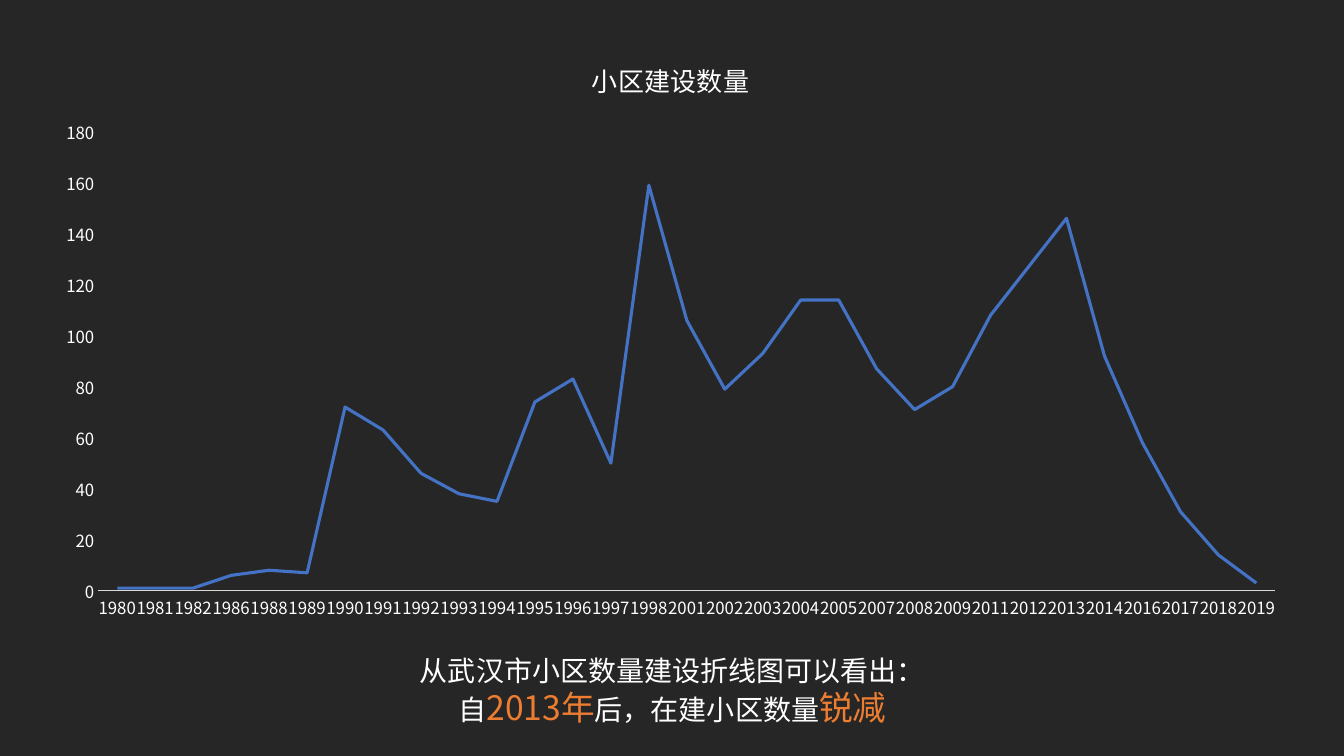
from lxml import etree
from pptx import Presentation
from pptx.chart.data import CategoryChartData
from pptx.dml.color import RGBColor
from pptx.enum.chart import XL_CHART_TYPE as ChartType, XL_TICK_MARK as Tick
from pptx.enum.text import MSO_ANCHOR as Anchor, PP_ALIGN as Align
from pptx.oxml import parse_xml
from pptx.oxml.ns import nsdecls, qn
from pptx.util import Inches, Pt

FONT = "Noto Sans CJK SC"
DARK = RGBColor(0x26, 0x26, 0x26)
WHITE = RGBColor(0xFF, 0xFF, 0xFF)
ORANGE = RGBColor(0xED, 0x7D, 0x31)
BLUE = RGBColor(0x44, 0x72, 0xC4)
GRAY = RGBColor(0xD9, 0xD9, 0xD9)

PROJECTS = {
    1980: 1, 1981: 1, 1982: 1, 1986: 6, 1988: 8, 1989: 7, 1990: 72, 1991: 63,
    1992: 46, 1993: 38, 1994: 35, 1995: 74, 1996: 83, 1997: 50, 1998: 159,
    2001: 106, 2002: 79, 2003: 93, 2004: 114, 2005: 114, 2007: 87, 2008: 71,
    2009: 80, 2011: 108, 2012: 127, 2013: 146, 2014: 92, 2016: 58, 2017: 31,
    2018: 14, 2019: 3,
}
CONCLUSION = [
    [("从武汉市小区数量建设折线图可以看出：", False)],
    [("自", False), ("2013年", True), ("后，在建小区数量", False), ("锐减", True)],
]


def style_font(font, size, color):
    """Set the font for both Latin and East Asian characters."""
    font.size = Pt(size)
    font.color.rgb = color
    font.name = FONT
    latin = font._element.find(qn("a:latin"))
    ea = etree.Element(qn("a:ea"), typeface=FONT)
    latin.addnext(ea)


def manual_layout(target=None, **fractions):
    """Return a c:layout that places a chart part by fractions of the chart."""
    layout = parse_xml(f"<c:layout {nsdecls('c')}><c:manualLayout/></c:layout>")
    values = {"xMode": "edge", "yMode": "edge", **fractions}
    if target:
        values = {"layoutTarget": target, **values}
    for tag, value in values.items():
        etree.SubElement(layout[0], qn(f"c:{tag}"), val=str(value))
    return layout


def place_title(chart):
    tf = chart.chart_title.text_frame
    r = tf.paragraphs[0].add_run()
    r.text = "小区建设数量"
    style_font(r.font, 18.6, WHITE)
    r.font.bold = False
    title = chart._chartSpace.find(".//" + qn("c:title"))
    for old in title.findall(qn("c:layout")):
        title.remove(old)
    title.find(qn("c:tx")).addnext(manual_layout(x=0.434, y=0.032))


def place_plot(chart):
    plot_area = chart._chartSpace.find(".//" + qn("c:plotArea"))
    for old in plot_area.findall(qn("c:layout")):
        plot_area.remove(old)
    plot_area.insert(0, manual_layout("inner", x=0.046, y=0.163, w=0.934, h=0.768))


def style_axes(chart):
    years, counts = chart.category_axis, chart.value_axis
    for axis in (years, counts):
        axis.has_major_gridlines = False
        axis.major_tick_mark = axis.minor_tick_mark = Tick.NONE
        style_font(axis.tick_labels.font, 12, WHITE)
    years.format.line.color.rgb = GRAY
    years.format.line.width = Pt(0.75)
    counts.format.line.fill.background()
    counts.minimum_scale, counts.maximum_scale, counts.major_unit = 0, 180, 20
    # Show every year on one line: automatic rotation keeps labels unbroken
    ax = years._element
    ax.find(qn("c:txPr")).find(qn("a:bodyPr")).set("rot", "-60000000")
    skip = etree.Element(qn("c:tickLblSkip"), val="1")
    ax.find(qn("c:noMultiLvlLbl")).addprevious(skip)


def add_line_chart(slide, left, top, width, height):
    data = CategoryChartData()
    data.categories = [str(year) for year in PROJECTS]
    data.add_series("Series 1", list(PROJECTS.values()))
    chart = slide.shapes.add_chart(
        ChartType.LINE, left, top, width, height, data).chart
    style_font(chart.font, 10, WHITE)
    chart.has_legend = False
    place_title(chart)
    place_plot(chart)
    style_axes(chart)
    plot = chart.plots[0]
    plot.vary_by_categories = False
    series = plot.series[0]
    series.smooth = False
    series.format.line.color.rgb = BLUE
    series.format.line.width = Pt(2.25)


def add_conclusion(slide, left, top, width, height):
    tf = slide.shapes.add_textbox(left, top, width, height).text_frame
    tf.word_wrap = True
    tf.vertical_anchor = Anchor.TOP
    for i, line in enumerate(CONCLUSION):
        p = tf.add_paragraph() if i else tf.paragraphs[0]
        p.alignment = Align.CENTER
        for text, highlighted in line:
            r = p.add_run()
            r.text = text
            style_font(r.font, *((24, ORANGE) if highlighted else (20, WHITE)))


def main():
    prs = Presentation()
    prs.slide_width, prs.slide_height = Inches(13.33), Inches(7.5)
    slide = prs.slides.add_slide(prs.slide_layouts[6])
    slide.background.fill.solid()
    slide.background.fill.fore_color.rgb = DARK
    add_conclusion(slide, Inches(3.87), Inches(6.43), Inches(5.6), Inches(0.84))
    add_line_chart(slide, Inches(0.4), Inches(0.34), Inches(12.5), Inches(5.93))
    prs.save("out.pptx")


if __name__ == "__main__":
    main()
